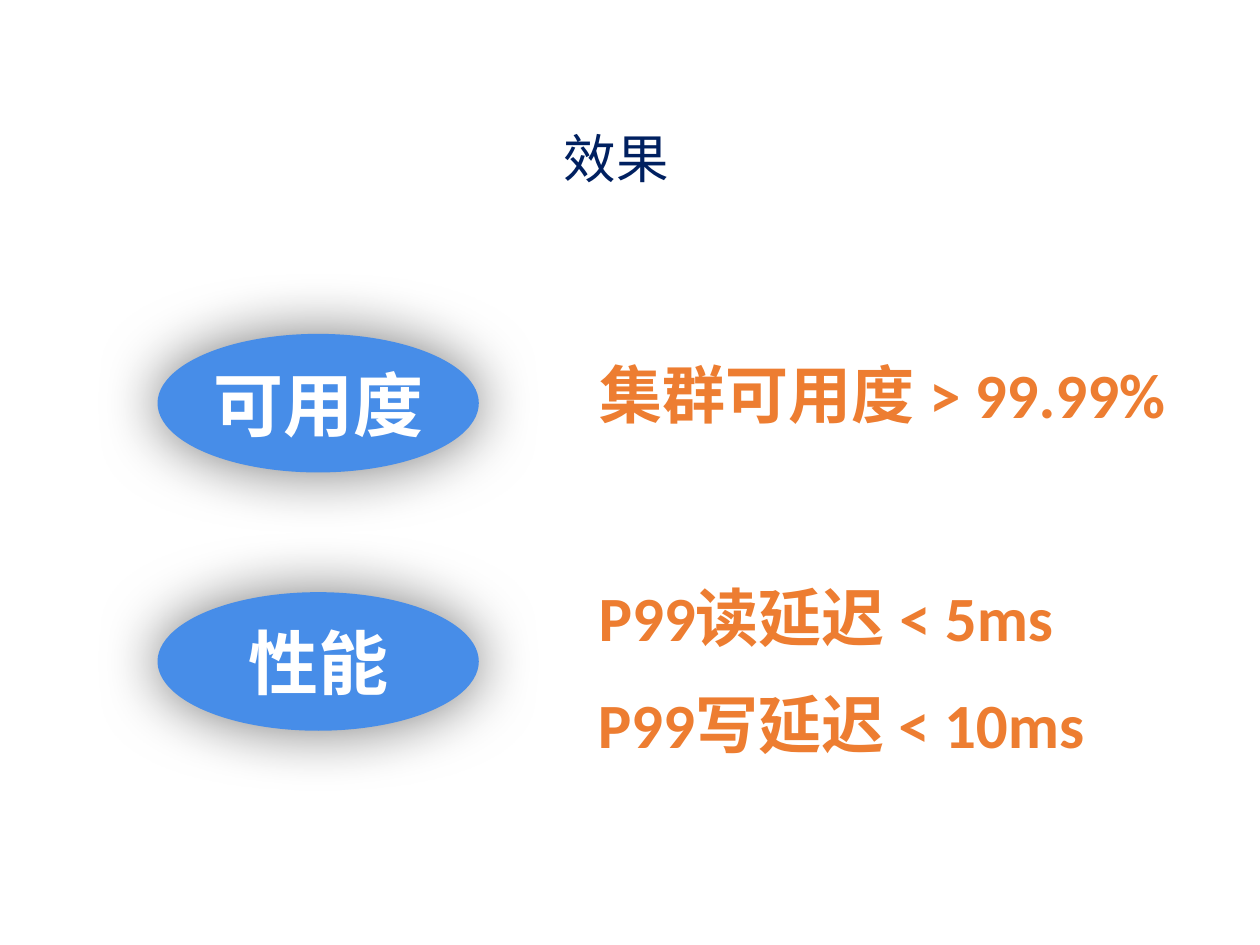
from lxml import etree
from pptx import Presentation
from pptx.dml.color import RGBColor
from pptx.enum.shapes import MSO_SHAPE
from pptx.enum.text import MSO_ANCHOR, MSO_AUTO_SIZE, PP_ALIGN
from pptx.oxml import parse_xml
from pptx.oxml.ns import nsdecls, qn
from pptx.util import Inches, Pt

OVAL = MSO_SHAPE.OVAL
CENTER = PP_ALIGN.CENTER
TOP, MIDDLE = MSO_ANCHOR.TOP, MSO_ANCHOR.MIDDLE
GROW, FIXED = MSO_AUTO_SIZE.SHAPE_TO_FIT_TEXT, MSO_AUTO_SIZE.NONE
TITLE_ONLY = 5
CJK_FONT = "Noto Sans CJK SC"
COLORS = {"title": "002060", "result": "ED7D31", "badge": "478DE8",
          "badge_text": "FFFFFF", "shadow": "000000"}

BADGE_LEFT, BADGE_TOP, BADGE_PITCH = 1.25, 2.65, 2.05
BADGE_WIDTH, BADGE_HEIGHT = 2.55, 1.1
RESULT_WIDTH, RESULT_HEIGHT = 6.17, 0.71
TOPICS = ["可用度", "性能"]
RESULTS = [("集群可用度 > 99.99%", 3.92, 2.77),
           ("P99读延迟 < 5ms", 3.47, 4.54),
           ("P99写延迟 < 10ms", 3.59, 5.39)]


def write_text(holder, text, *, size, color, font, bold=False, anchor=TOP,
               inset=None, fit=GROW):
    """Put one centred, formatted line into a shape."""
    frame = holder.text_frame
    frame.text = text
    frame.word_wrap = True
    frame.auto_size = fit
    frame.vertical_anchor = anchor
    if inset is not None:
        frame.margin_left = frame.margin_right = Inches(inset)
        frame.margin_top = frame.margin_bottom = Inches(inset)
    line = frame.paragraphs[0]
    line.alignment = CENTER
    run = line.runs[0]
    run.font.size = Pt(size)
    run.font.bold = bold
    run.font.name = font
    run.font.color.rgb = RGBColor.from_string(COLORS[color])
    east_asian = etree.SubElement(run.font._element, qn("a:ea"))
    east_asian.set("typeface", CJK_FONT)


def add_glow_shadow(badge):
    """Surround a badge with a soft, centred shadow."""
    badge.shadow.inherit = False
    effects = badge._element.spPr.find(qn("a:effectLst"))
    effects.append(parse_xml(
        f'<a:outerShdw {nsdecls("a")} blurRad="{Pt(36)}" dist="0" dir="0" '
        f'rotWithShape="0"><a:srgbClr val="{COLORS["shadow"]}">'
        '<a:alpha val="52000"/></a:srgbClr></a:outerShdw>'))


def add_title(slide, text):
    """Fill and place the title placeholder."""
    title = slide.shapes.title
    title.left, title.top = Inches(0.74), Inches(0.95)
    title.width, title.height = Inches(8.3), Inches(0.61)
    write_text(title, text, size=30, color="title", font=CJK_FONT, inset=0.05)


def add_result(slide, text, left, top):
    """Add one measured result."""
    result = slide.shapes.add_textbox(Inches(left), Inches(top),
                                      Inches(RESULT_WIDTH), Inches(RESULT_HEIGHT))
    write_text(result, text, size=36, color="result", font="Calibri", bold=True)


def add_badge(slide, text, row):
    """Add the oval topic badge of a row."""
    badge = slide.shapes.add_shape(
        OVAL, Inches(BADGE_LEFT), Inches(BADGE_TOP + row * BADGE_PITCH),
        Inches(BADGE_WIDTH), Inches(BADGE_HEIGHT))
    badge.fill.solid()
    badge.fill.fore_color.rgb = RGBColor.from_string(COLORS["badge"])
    badge.line.fill.background()
    add_glow_shadow(badge)
    write_text(badge, text, size=40, color="badge_text", font="Arial", bold=True,
               anchor=MIDDLE, inset=0, fit=FIXED)


def main():
    """Build the slide and save it."""
    deck = Presentation()
    deck.slide_width, deck.slide_height = Inches(10), Inches(7.5)
    slide = deck.slides.add_slide(deck.slide_layouts[TITLE_ONLY])
    add_title(slide, "效果")
    for text, left, top in RESULTS:
        add_result(slide, text, left, top)
    for row, topic in enumerate(TOPICS):
        add_badge(slide, topic, row)
    deck.save("out.pptx")


if __name__ == "__main__":
    main()
